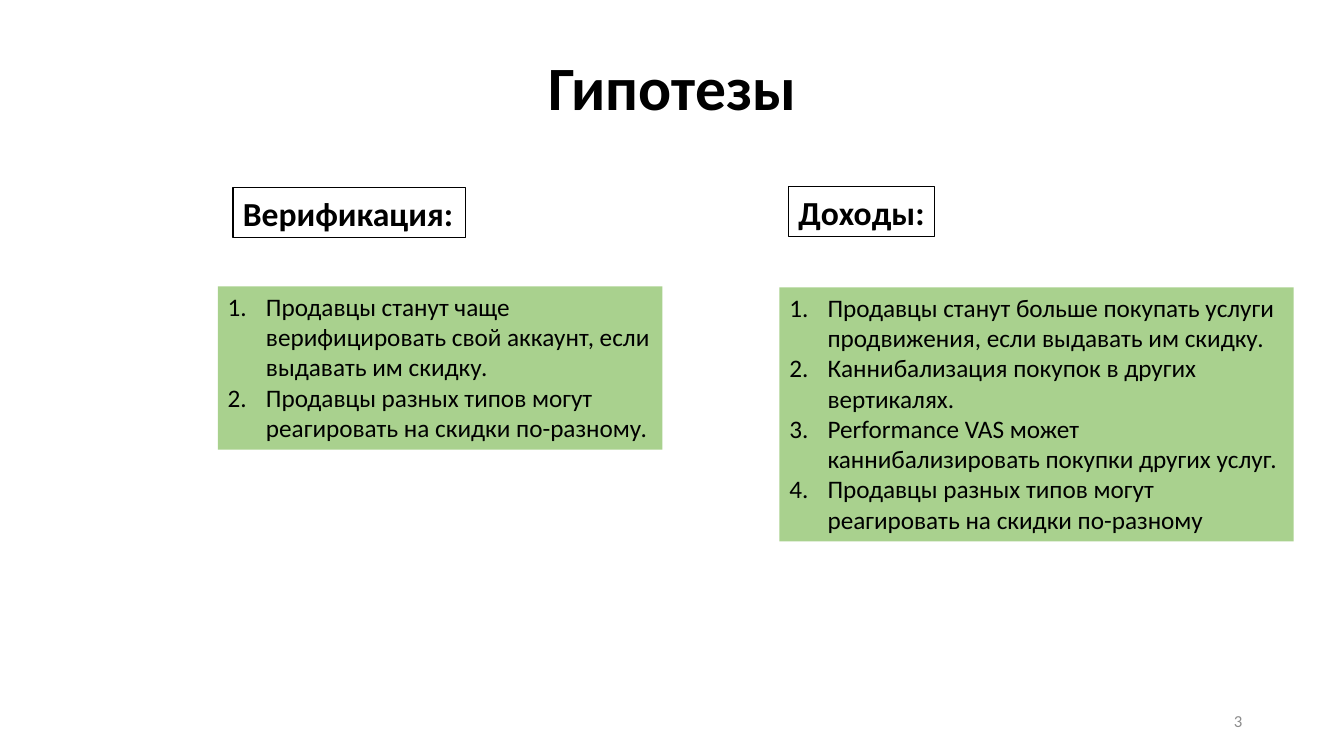
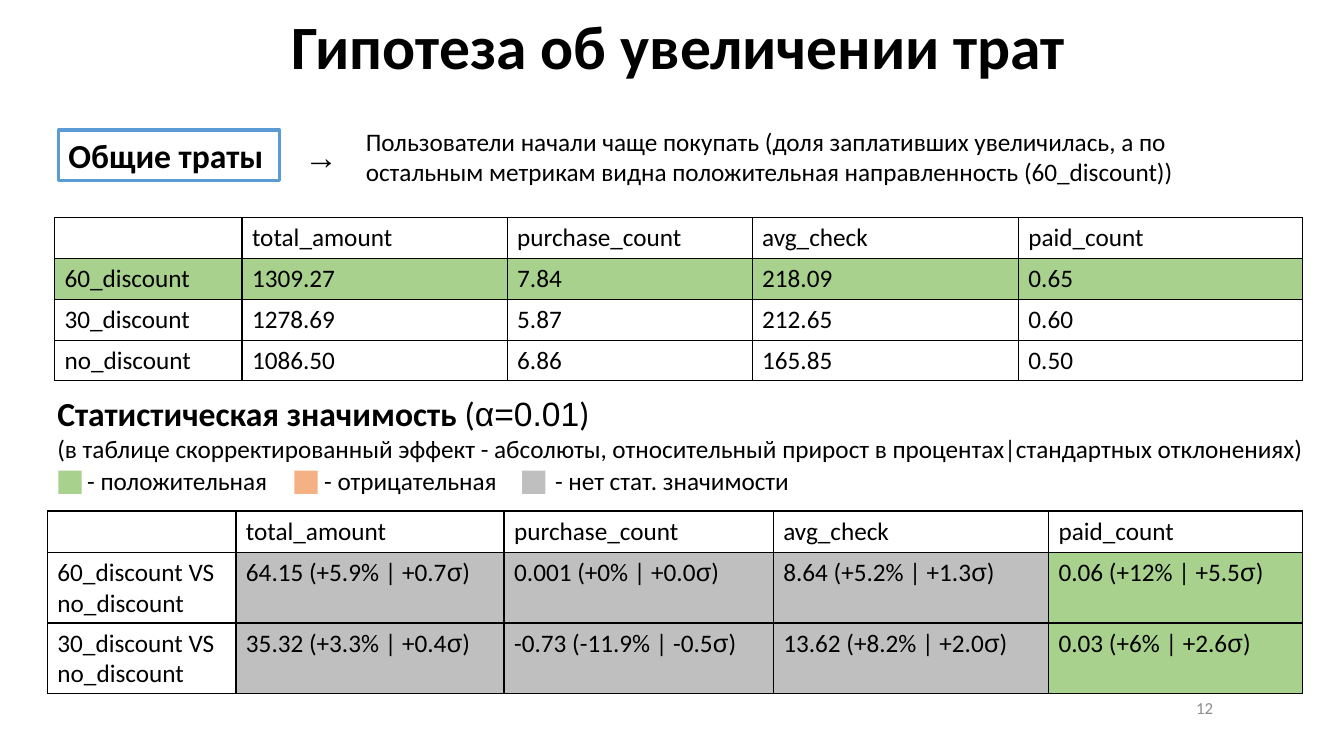
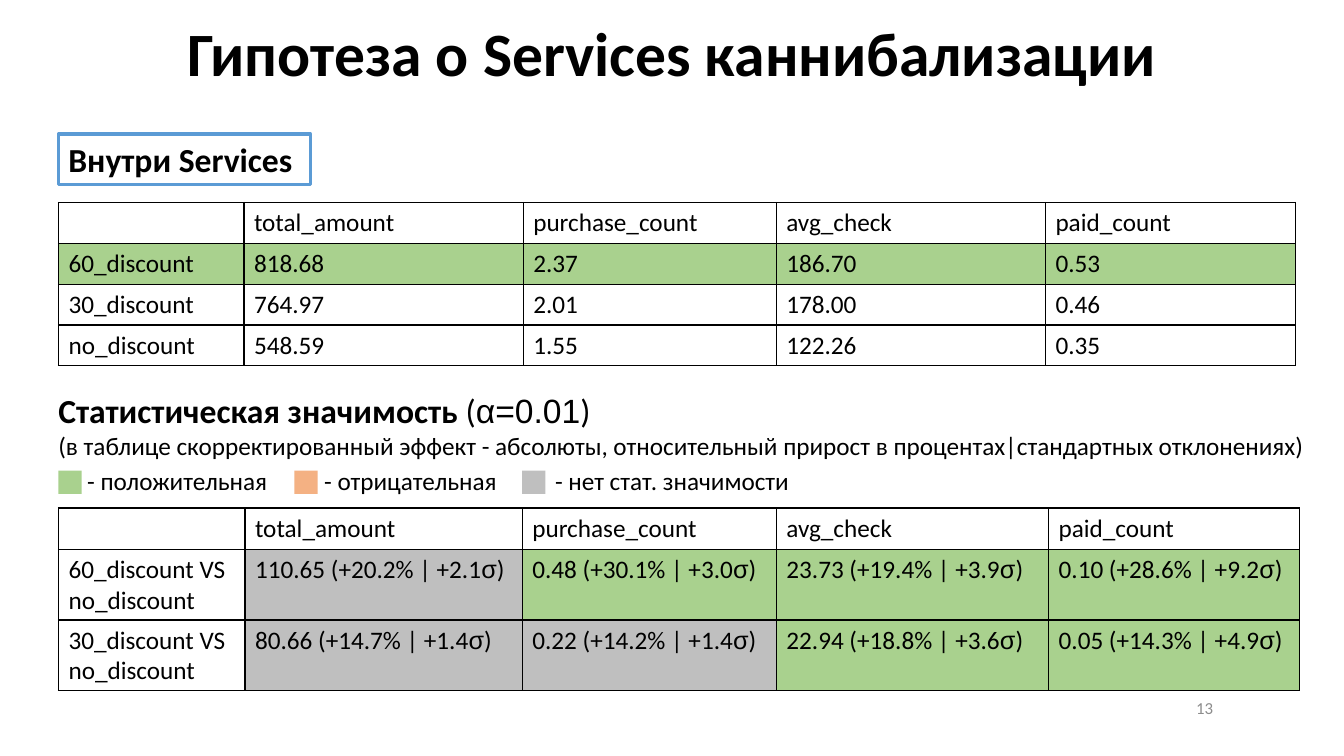
from dataclasses import dataclass
from typing import NamedTuple, Optional

from lxml import etree
from pptx import Presentation
from pptx.dml.color import RGBColor
from pptx.enum.shapes import MSO_SHAPE
from pptx.enum.text import MSO_ANCHOR, PP_ALIGN
from pptx.oxml.ns import qn
from pptx.util import Inches, Pt

RECT = MSO_SHAPE.RECTANGLE
TOP, MIDDLE = MSO_ANCHOR.TOP, MSO_ANCHOR.MIDDLE
LEFT, CENTER, RIGHT = PP_ALIGN.LEFT, PP_ALIGN.CENTER, PP_ALIGN.RIGHT


@dataclass(frozen=True)
class Theme:
    font: str = "Calibri"
    symbol: str = "Arial"
    black: str = "000000"
    white: str = "FFFFFF"
    muted: str = "8C8C8C"
    blue: str = "5B9BD5"
    green: str = "A9D18E"
    orange: str = "F4B183"
    gray: str = "BFBFBF"
    title: int = 44
    head: int = 24
    body: int = 18
    foot: int = 12


T = Theme()


class Area(NamedTuple):
    left: float
    top: float
    width: float
    height: float

    def inches(self) -> list:
        return [Inches(side) for side in self]


class Span(NamedTuple):
    text: str
    font: Optional[str] = None
    bold: Optional[bool] = None


@dataclass(frozen=True)
class Line:
    """One paragraph."""
    spans: list
    size: int = T.body
    bold: bool = False
    color: str = T.black
    font: str = T.font
    align: PP_ALIGN = LEFT
    spacing: Optional[float] = None
    indent: float = 0
    numbered: bool = False


@dataclass(frozen=True)
class Grid:
    left: float
    top: float
    cols: list
    heights: list
    rows: list
    fills: list  # one letter per cell: see FILLS


@dataclass(frozen=True)
class Key:
    color: str
    left: float
    label: float
    width: float
    text: str


@dataclass(frozen=True)
class Report:
    title: str
    head: Area
    topic: str
    tag: Area
    note: Area
    means: Grid
    effects: Grid
    page: int


FILLS = {"g": T.green, "n": T.gray}


# Text
def plain(text: str, **style) -> Line:
    return Line([Span(text)], **style)


def sigma(text: str) -> list:
    """Set the sigma sign in the symbol font."""
    before, sign, after = text.partition("σ")
    if not sign:
        return [Span(text)] if text else []
    return [Span(before), Span(sign, T.symbol), Span(after)]


def write(frame, lines: list) -> None:
    for index, line in enumerate(lines):
        para = frame.paragraphs[0] if index == 0 else frame.add_paragraph()
        para.alignment = line.align
        if line.spacing:
            para.line_spacing = line.spacing
        font = para.font
        font.name, font.size, font.bold = line.font, Pt(line.size), line.bold
        font.color.rgb = RGBColor.from_string(line.color)
        props = para._p.get_or_add_pPr()
        if line.indent:
            props.set("marL", str(Inches(line.indent)))
        if line.numbered:
            props.set("indent", str(-Inches(line.indent)))
            mark = etree.Element(qn("a:buAutoNum"), type="arabicPeriod")
            props.insert_element_before(mark, "a:tabLst", "a:defRPr", "a:extLst")
        for span in line.spans:
            run = para.add_run()
            run.text = span.text
            if span.font:
                run.font.name = span.font
            if span.bold is not None:
                run.font.bold = span.bold


def label(slide, area: Area, lines: list, anchor: MSO_ANCHOR = TOP,
          wrap: bool = True) -> None:
    frame = slide.shapes.add_textbox(*area.inches()).text_frame
    frame.word_wrap, frame.vertical_anchor = wrap, anchor
    write(frame, lines)


# Shapes and tables
def panel(slide, area: Area, fill: str, lines: list, edge: str = "",
          weight: float = 1, wrap: bool = True) -> None:
    shape = slide.shapes.add_shape(RECT, *area.inches())
    shape.shadow.inherit = False
    shape.fill.solid()
    shape.fill.fore_color.rgb = RGBColor.from_string(fill)
    if edge:
        shape.line.color.rgb = RGBColor.from_string(edge)
        shape.line.width = Pt(weight)
    else:
        shape.line.fill.background()
    frame = shape.text_frame
    frame.word_wrap, frame.vertical_anchor = wrap, TOP
    write(frame, lines)


def border(cell) -> None:
    props = cell._tc.get_or_add_tcPr()
    for side in ("a:lnL", "a:lnR", "a:lnT", "a:lnB"):
        edge = etree.SubElement(props, qn(side), w=str(Pt(1)))
        solid = etree.SubElement(edge, qn("a:solidFill"))
        etree.SubElement(solid, qn("a:srgbClr"), val=T.black)


def table(slide, grid: Grid) -> None:
    area = Area(grid.left, grid.top, sum(grid.cols), sum(grid.heights))
    body = slide.shapes.add_table(
        len(grid.rows), len(grid.cols), *area.inches()).table
    body.first_row = body.horz_banding = False
    for col, width in zip(body.columns, grid.cols):
        col.width = Inches(width)
    for row, height, texts, codes in zip(
            body.rows, grid.heights, grid.rows, grid.fills):
        row.height = Inches(height)
        for cell, text, code in zip(row.cells, texts, codes):
            border(cell)
            if code in FILLS:
                cell.fill.solid()
                cell.fill.fore_color.rgb = RGBColor.from_string(FILLS[code])
            else:
                cell.fill.background()
            write(cell.text_frame, [Line(sigma(text))])


# Parts shared by the slides
def title(slide, area: Area, text: str) -> None:
    line = plain(text, size=T.title, bold=True, align=CENTER, spacing=0.9)
    label(slide, area, [line], MIDDLE)


def number(slide, area: Area, page: int) -> None:
    line = plain(str(page), size=T.foot, color=T.muted, align=RIGHT)
    label(slide, area, [line], MIDDLE)


def heading(text: str) -> Line:
    return plain(text, size=T.head, bold=True)


KEYS = [
    Key(T.green, 0.58, 0.71, 2.16, " - положительная"),
    Key(T.orange, 2.92, 3.06, 2.02, " - отрицательная"),
    Key(T.gray, 5.18, 5.35, 2.65, " - нет стат. значимости"),
]
NOTE = [
    Line([Span("Статистическая значимость ", bold=True), Span("("),
          Span("α=0.01", T.symbol), Span(")", T.font)], size=T.head),
    plain("(в таблице скорректированный эффект - абсолюты, относительный "
          "прирост в процентах|стандартных отклонениях)"),
]
HEADER = ["", "total_amount", "purchase_count", "avg_check", "paid_count"]
GROUPS = ["60_discount", "30_discount", "no_discount"]
PAGE = Area(9.08, 6.82, 3.05, 0.4)


def means(left: float, top: float, cols: list, values: list) -> Grid:
    rows = [HEADER] + [[name, *row] for name, row in zip(GROUPS, values)]
    return Grid(left, top, cols, [0.405] * 4, rows,
                ["-----", "ggggg", "-----", "-----"])


def effects(left: float, top: float, cols: list, values: list,
            fills: list) -> Grid:
    rows = [HEADER] + [[f"{name} VS {GROUPS[-1]}", *row]
                       for name, row in zip(GROUPS, values)]
    return Grid(left, top, cols, [0.41, 0.7, 0.7], rows, ["-----", *fills])


def report(slide, data: Report) -> None:
    panel(slide, data.note, T.white, NOTE)
    for key in KEYS:
        panel(slide, Area(key.left, 4.67, 0.23, 0.23), key.color, [])
        label(slide, Area(key.label, 4.57, key.width, 0.4), [plain(key.text)])
    title(slide, data.head, data.title)
    table(slide, data.means)
    number(slide, PAGE, data.page)
    table(slide, data.effects)
    panel(slide, data.tag, T.white, [heading(data.topic)], T.blue, 2.25)


deck = Presentation()
deck.slide_width, deck.slide_height = Inches(13.33), Inches(7.5)
blank = deck.slide_layouts[6]

# Slide 1: hypotheses
ideas = deck.slides.add_slide(blank)
title(ideas, Area(0.92, 0.17, 11.5, 1.45), "Гипотезы")
TOPICS = [
    ("Верификация:", Area(2.31, 1.86, 2.31, 0.5), Area(2.16, 2.84, 4.41, 1.62), [
        "Продавцы станут чаще верифицировать свой аккаунт, если выдавать им "
        "скидку.",
        "Продавцы разных типов могут реагировать на скидки по-разному.",
    ]),
    ("Доходы:", Area(7.82, 1.85, 1.45, 0.5), Area(7.73, 2.85, 5.1, 2.52), [
        "Продавцы станут больше покупать услуги продвижения, если выдавать им "
        "скидку.",
        "Каннибализация покупок в других вертикалях.",
        "Performance VAS может каннибализировать покупки других услуг.",
        "Продавцы разных типов могут реагировать на скидки по-разному",
    ]),
]
for name, tag, box, items in TOPICS:
    panel(ideas, tag, T.white, [heading(name)], T.black, wrap=False)
    panel(ideas, box, T.green,
          [plain(item, indent=0.38, numbered=True) for item in items])
number(ideas, Area(9.42, 6.95, 3, 0.4), 3)

# Slide 2: total spending
spend = deck.slides.add_slide(blank)
report(spend, Report(
    "Гипотеза об увеличении трат", Area(0.36, 0.05, 12.75, 0.89),
    "Общие траты", Area(0.58, 1.29, 2.19, 0.5), Area(0.47, 3.85, 12.75, 1.21),
    means(0.54, 2.16, [1.86, 2.63, 2.43, 2.64, 2.82], [
        ["1309.27", "7.84", "218.09", "0.65"],
        ["1278.69", "5.87", "212.65", "0.60"],
        ["1086.50", "6.86", "165.85", "0.50"],
    ]),
    effects(0.47, 5.07, [1.87, 2.66, 2.67, 2.73, 2.52], [
        ["64.15 (+5.9% | +0.7σ)", "0.001 (+0% | +0.0σ)",
         "8.64 (+5.2% | +1.3σ)", "0.06 (+12% | +5.5σ)"],
        ["35.32 (+3.3% | +0.4σ)", "-0.73 (-11.9% | -0.5σ)",
         "13.62 (+8.2% | +2.0σ)", "0.03 (+6% | +2.6σ)"],
    ], ["-nnng", "-nnng"]),
    12))
label(spend, Area(2.92, 1.3, 0.54, 0.5),
      [plain("→", size=T.head, bold=True, font=T.symbol)], wrap=False)
label(spend, Area(3.03, 1.2, 9.46, 0.71), [plain(
    "Пользователи начали чаще покупать (доля заплативших увеличилась, а по "
    "остальным метрикам видна положительная направленность (60_discount))",
    indent=0.5)])

# Slide 3: cannibalization within services
inner = deck.slides.add_slide(blank)
report(inner, Report(
    "Гипотеза о Services каннибализации", Area(0.53, 0.12, 12.28, 0.89),
    "Внутри Services", Area(0.58, 1.33, 2.5, 0.5), Area(0.48, 3.82, 12.72, 1.21),
    means(0.58, 2.01, [1.84, 2.77, 2.51, 2.67, 2.48], [
        ["818.68", "2.37", "186.70", "0.53"],
        ["764.97", "2.01", "178.00", "0.46"],
        ["548.59", "1.55", "122.26", "0.35"],
    ]),
    effects(0.58, 5.04, [1.85, 2.75, 2.52, 2.7, 2.49], [
        ["110.65 (+20.2% | +2.1σ)", "0.48 (+30.1% | +3.0σ)",
         "23.73 (+19.4% | +3.9σ)", "0.10 (+28.6% | +9.2σ)"],
        ["80.66 (+14.7% | +1.4σ)", "0.22 (+14.2% | +1.4σ)",
         "22.94 (+18.8% | +3.6σ)", "0.05 (+14.3% | +4.9σ)"],
    ], ["-nggg", "-nngg"]),
    13))

deck.save("out.pptx")
